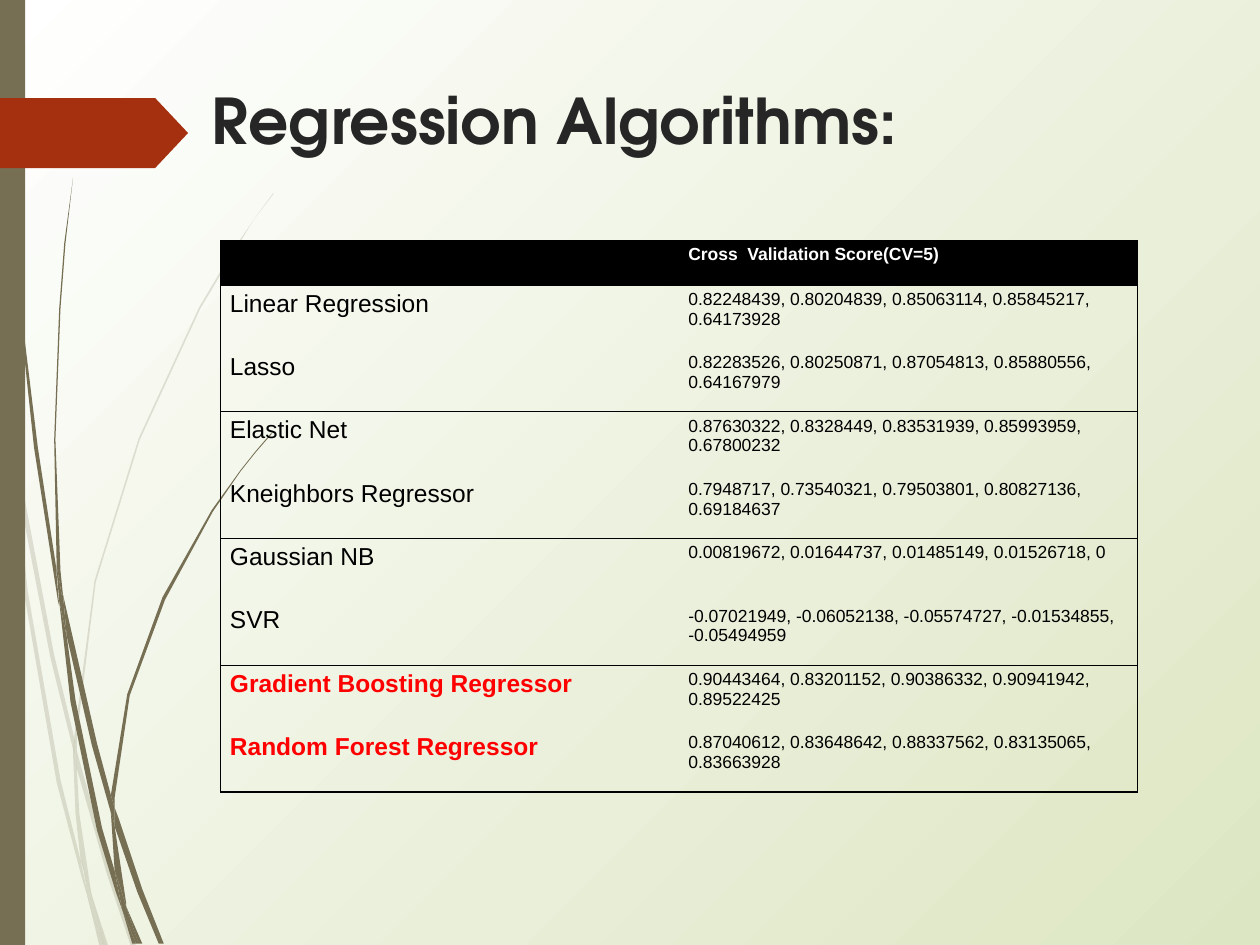
from lxml.etree import SubElement
from pptx import Presentation
from pptx.dml.color import RGBColor
from pptx.enum.shapes import MSO_SHAPE as Preset
from pptx.enum.text import MSO_ANCHOR as Anchor, MSO_AUTO_SIZE as AutoSize, PP_ALIGN as Align
from pptx.oxml.ns import qn
from pptx.util import Pt

OLIVE = "766F54"
BLACK = "000000"
RED = "FF0000"
NO_STYLE = "{2D5ABB26-0587-4C30-8999-92F81FD0307C}"
GRASS_UNIT = 0.72

PALE_GRASS = [
    "8,350 6,322 0,282 0,299 7,344",
    "40,522 59,599 59,586 43,520 10,345 12,376",
    "64,607 61,596 61,610 85,694 104,751 108,751 88,692",
    "83,751 86,751 73,711",
    "64,683 48,619 22,469 12,376 8,350 19,470 45,621 64,693 70,714 69,707",
    "58,599 60,646 64,683 67,692 73,711 72,706 63,646 61,610 61,608",
    "61,584 76,462 111,349 159,245 187,198 201,175 217,154 217,153 201,175 186,197 158,244 "
    "110,348 75,461 59,584 59,586 61,596",
    "70,714 79,751 82,751",
    "61,608 61,610 61,596 59,586 58,599",
    "67,692 65,683 69,707 70,714 82,751 83,751 73,711",
]
DARK_GRASS = [
    "5,110 14,233 27,355 46,477 47,481 45,457 45,453 30,355 15,232 6,109 4,48 3,0 2,0 3,48",
    "73,592 88,645 88,633 88,631 77,590 50,472 53,505",
    "94,649 91,641 91,656 109,708 126,749 130,749 113,706",
    "91,691 81,657 60,556 53,505 47,477 56,557 77,659 92,708 97,722 96,717",
    "50,472 48,453 44,349 48,245 52,193 58,141 51,193 47,245 43,349 45,449 49,472",
    "110,749 113,749 100,719",
    "47,477 53,505 50,472 49,472 45,449 45,453",
    "91,633 103,552 131,476 169,406 191,374 203,359 216,344 215,344 203,358 191,373 168,405 "
    "129,474 101,551 88,631 91,641",
    "97,722 105,749 108,749",
    "88,645 91,691 96,706 100,719 100,716 91,656 90,651",
    "88,645 90,651 91,656 91,641 88,631 88,633",
    "96,706 91,691 96,717 97,722 108,749 110,749 100,719",
]
SCORES = [
    ("Linear Regression", "0.82248439, 0.80204839, 0.85063114, 0.85845217, 0.64173928"),
    ("Lasso", "0.82283526, 0.80250871, 0.87054813, 0.85880556, 0.64167979"),
    ("Elastic Net", "0.87630322, 0.8328449, 0.83531939, 0.85993959, 0.67800232"),
    ("Kneighbors Regressor", "0.7948717, 0.73540321, 0.79503801, 0.80827136, 0.69184637"),
    ("Gaussian NB", "0.00819672, 0.01644737, 0.01485149, 0.01526718, 0"),
    ("SVR", "-0.07021949, -0.06052138, -0.05574727, -0.01534855, -0.05494959"),
    ("Gradient Boosting Regressor", "0.90443464, 0.83201152, 0.90386332, 0.90941942, 0.89522425"),
    ("Random Forest Regressor", "0.87040612, 0.83648642, 0.88337562, 0.83135065, 0.83663928"),
]
BEST = {"Gradient Boosting Regressor", "Random Forest Regressor"}


def paint(fill, color):
    """Fill solidly with a hex colour."""
    fill.solid()
    fill.fore_color.rgb = RGBColor.from_string(color)


def style_font(font, name, size, color, bold=False):
    """Set the face, size, colour and weight of a font."""
    font.name, font.size, font.bold = name, Pt(size), bold
    font.color.rgb = RGBColor.from_string(color)


def finish(shape, color):
    """Give a shape a flat fill without outline or shadow."""
    paint(shape.fill, color)
    shape.line.fill.background()
    shape.shadow.inherit = False


def set_background(slide, inner, outer):
    """Spread a circular gradient from the top left corner."""
    fill = slide.background.fill
    fill.gradient()
    for stop, color in zip(fill.gradient_stops, (inner, outer)):
        stop.color.rgb = RGBColor.from_string(color)
    gradient = slide.element.find(".//" + qn("a:gradFill"))
    gradient.remove(gradient.find(qn("a:lin")))
    circle = SubElement(gradient, qn("a:path"), path="circle")
    SubElement(circle, qn("a:fillToRect"), l="0", t="0", r="100000", b="100000")


def add_grass(slide, left, top, outlines, opacity=100):
    """Draw a group of grass blades from the given corner."""
    tuft = slide.shapes.add_group_shape()
    for outline in outlines:
        knots = [map(int, pair.split(",")) for pair in outline.split()]
        points = [(Pt(left + x * GRASS_UNIT), Pt(top + y * GRASS_UNIT)) for x, y in knots]
        builder = tuft.shapes.build_freeform(*points[0])
        builder.add_line_segments(points[1:], close=True)
        blade = builder.convert_to_shape()
        finish(blade, OLIVE)
        if opacity < 100:
            tint = blade.element.spPr.find(qn("a:solidFill")).find(qn("a:srgbClr"))
            SubElement(tint, qn("a:alpha"), val=str(opacity * 1000))


def add_panel(slide, preset, box, color):
    """Add a plain decorative shape in the box."""
    panel = slide.shapes.add_shape(preset, *map(Pt, box))
    finish(panel, color)
    return panel


def place_title(slide, box, wording):
    """Move and format the title placeholder."""
    title = slide.shapes.title
    title.left, title.top, title.width, title.height = map(Pt, box)
    frame = title.text_frame
    frame.text = wording
    frame.auto_size = AutoSize.NONE
    frame.vertical_anchor = Anchor.TOP
    heading = frame.paragraphs[0]
    heading.alignment = Align.LEFT
    style_font(heading.font, "TeX Gyre Adventor", 36, "262626", True)


def draw_borders(cell, sides):
    """Draw thin black borders on the named sides of a cell."""
    properties = cell._tc.get_or_add_tcPr()
    for position, side in enumerate(s for s in "LRTB" if s in sides):
        border = SubElement(properties, qn("a:ln" + side), w=str(Pt(0.75)))
        SubElement(SubElement(border, qn("a:solidFill")), qn("a:srgbClr"), val=BLACK)
        properties.insert(position, border)


def add_scores(slide, box, header_height):
    """Build the table of cross validation scores in the box."""
    left, top, width, height = box
    rows = [("", "Cross  Validation Score(CV=5)")] + SCORES
    table = slide.shapes.add_table(len(rows), 2, *map(Pt, box)).table
    table.first_row = table.horz_banding = False
    table._tbl.tblPr.find(qn("a:tableStyleId")).text = NO_STYLE
    for column in table.columns:
        column.width = Pt(width / 2)
    for r, row in enumerate(rows):
        table.rows[r].height = Pt((height - header_height) / len(SCORES) if r else header_height)
        for c, wording in enumerate(row):
            cell = table.cell(r, c)
            cell.margin_left = cell.margin_right = Pt(5.2)
            cell.margin_top = cell.margin_bottom = Pt(2.6)
            cell.text = wording
            best = wording in BEST
            color = RED if best else BLACK if r else "FFFFFF"
            style_font(cell.text_frame.paragraphs[0].font, "Arial",
                       14 if r and c == 0 else 10, color, best or r == 0)
            if r:
                cell.fill.background()
            else:
                paint(cell.fill, BLACK)
            draw_borders(cell, "LR"[c] + ("T" if r == 0 else "") + ("B" if r % 2 == 0 else ""))


def main():
    """Build and save the slide."""
    deck = Presentation()
    deck.slide_width, deck.slide_height = Pt(720), Pt(540)
    slide = deck.slides.add_slide(deck.slide_layouts[5])
    set_background(slide, "FFFFFF", "DDE6C3")
    add_grass(slide, 0, 0, PALE_GRASS, 20)
    add_grass(slide, 0, 0, DARK_GRASS)
    add_panel(slide, Preset.RECTANGLE, (0, 0, 14.4, 540), OLIVE)
    arrow = add_panel(slide, Preset.PENTAGON, (0, 56, 107.5, 40), "A53010")
    arrow.adjustments[0] = 0.47
    place_title(slide, (113.8, 43.2, 584.6, 59), "Regression Algorithms:")
    add_scores(slide, (126.2, 137.4, 524, 315.2), 25.6)
    deck.save("out.pptx")


if __name__ == "__main__":
    main()
